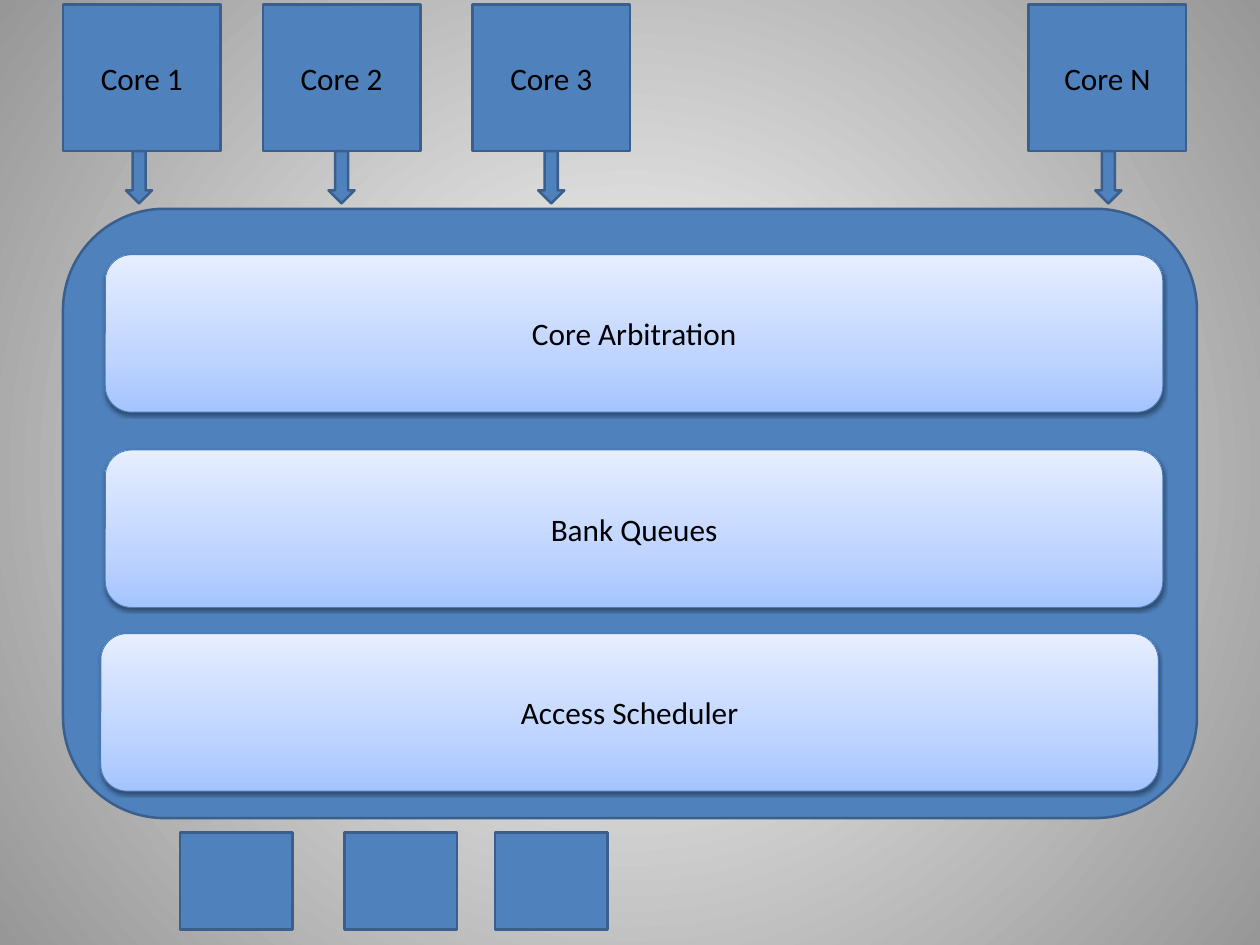
from lxml.etree import SubElement
from pptx import Presentation
from pptx.dml.color import RGBColor
from pptx.enum.shapes import MSO_SHAPE as SHAPE
from pptx.enum.text import MSO_ANCHOR as ANCHOR, PP_ALIGN as ALIGN
from pptx.oxml import parse_xml
from pptx.oxml.ns import nsdecls, qn
from pptx.util import Inches, Pt

# Content: (label, left)
CORES = [("Core 1", 0.7), ("Core 2", 2.92), ("Core 3", 5.25), ("Core N", 11.43)]
ARROW_LEFTS = [1.4, 3.65, 5.98, 12.17]
# (label, left, top)
STAGES = [("Core Arbitration", 1.17, 2.83), ("Bank Queues", 1.17, 5),
          ("Access Scheduler", 1.12, 7.04)]
BANK_LEFTS = [2, 3.83, 5.5]

BLUE, EDGE, STAGE_EDGE = "4F81BD", "3A5F8C", "4B7EBC"
STAGE_STOPS = [(0, "A4C4FF"), (35, "BFD4FF"), (100, "E6EEFF")]
PAGE_STOPS = [(0, "FFFFFF"), (100, "979797")]
UPWARD = '<a:lin ang="16200000" scaled="0"/>'
RADIAL = ('<a:path path="circle"><a:fillToRect l="50000" t="50000" '
          'r="50000" b="50000"/></a:path>')


def rgb(value):
    return RGBColor.from_string(value)


def set_gradient(properties, stops, direction):
    """Swap the solid fill of a properties element for a gradient."""
    items = "".join(f'<a:gs pos="{pos * 1000}"><a:srgbClr val="{color}"/></a:gs>'
                    for pos, color in stops)
    gradient = parse_xml(f'<a:gradFill {nsdecls("a")} rotWithShape="1">'
                         f'<a:gsLst>{items}</a:gsLst>{direction}</a:gradFill>')
    properties.replace(properties.find(qn("a:solidFill")), gradient)


def add_shadow(sp):
    effects = sp._element.spPr.find(qn("a:effectLst"))
    shadow = SubElement(effects, qn("a:outerShdw"), blurRad=str(Pt(3.1)),
                        dist=str(Pt(1.6)), dir="5400000", rotWithShape="0")
    color = SubElement(shadow, qn("a:srgbClr"), val="000000")
    SubElement(color, qn("a:alpha"), val="38000")


def add_text(sp, text, size=25, font="Calibri", color="000000", inset=(0.1, 0.05)):
    tf = sp.text_frame
    tf.word_wrap = True
    tf.vertical_anchor = ANCHOR.MIDDLE
    tf.margin_left = tf.margin_right = Inches(inset[0])
    tf.margin_top = tf.margin_bottom = Inches(inset[1])
    p = tf.paragraphs[0]
    p.alignment = ALIGN.CENTER
    r = p.add_run()
    r.text = text
    r.font.size = Pt(size)
    r.font.name = font
    r.font.color.rgb = rgb(color)


def add_block(kind, left, top, width, height, edge=EDGE, weight=2):
    sp = slide.shapes.add_shape(kind, *map(Inches, (left, top, width, height)))
    sp.shadow.inherit = False
    sp.fill.solid()
    sp.fill.fore_color.rgb = rgb(BLUE)
    sp.line.color.rgb = rgb(edge)
    sp.line.width = Pt(weight)
    return sp


prs = Presentation()
prs.slide_width, prs.slide_height = Inches(14), Inches(10.5)
slide = prs.slides.add_slide(prs.slide_layouts[6])

# Page background
slide.background.fill.solid()
set_gradient(slide._element.cSld.bg.bgPr, PAGE_STOPS, RADIAL)

# Controller frame
add_block(SHAPE.ROUNDED_RECTANGLE, 0.7, 2.32, 12.6, 6.77)

# Cores and the arrows below them
for label, left in CORES:
    sp = add_block(SHAPE.RECTANGLE, left, 0.05, 1.75, 1.63)
    add_text(sp, label, inset=(0.14, 0.07))
for left in ARROW_LEFTS:
    add_block(SHAPE.DOWN_ARROW, left, 1.68, 0.29, 0.58)

# Controller stages
for label, left, top in STAGES:
    sp = add_block(SHAPE.ROUNDED_RECTANGLE, left, top, 11.75, 1.75,
                   edge=STAGE_EDGE, weight=0.75)
    set_gradient(sp._element.spPr, STAGE_STOPS, UPWARD)
    add_shadow(sp)
    add_text(sp, label)

# Memory banks
for left in BANK_LEFTS:
    add_block(SHAPE.RECTANGLE, left, 9.25, 1.25, 1.08)

prs.save("out.pptx")
